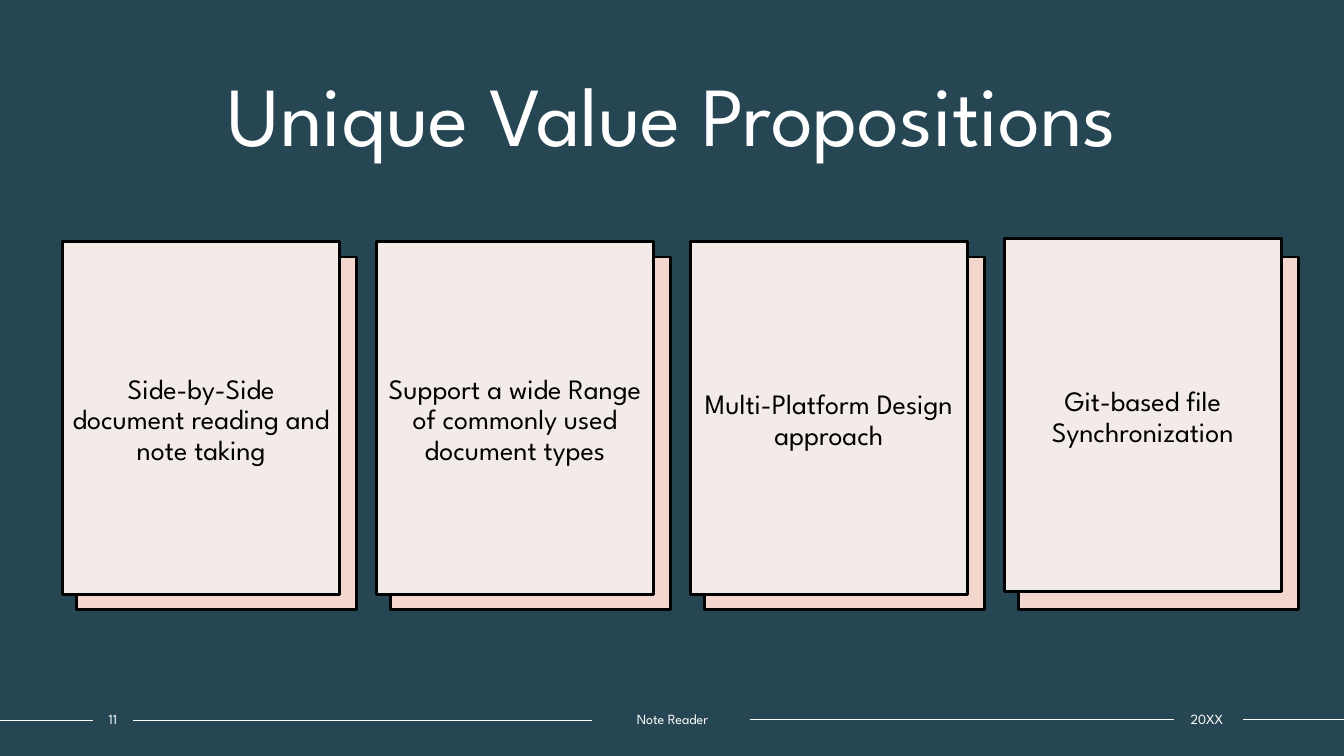
from lxml import etree
from pptx import Presentation
from pptx.dml.color import RGBColor
from pptx.enum.shapes import MSO_CONNECTOR, MSO_SHAPE
from pptx.enum.text import MSO_ANCHOR, PP_ALIGN
from pptx.oxml.ns import qn
from pptx.util import Inches, Pt

RECTANGLE = MSO_SHAPE.RECTANGLE
STRAIGHT = MSO_CONNECTOR.STRAIGHT
CENTER = PP_ALIGN.CENTER
MIDDLE = MSO_ANCHOR.MIDDLE
BOTTOM = MSO_ANCHOR.BOTTOM

COLUMNS, ROWS = 133.3, 75
CELL = 0.1
COLORS = {
    "background": "264653",
    "card": "F3EBE8",
    "backing": "F3D6CD",
    "dark": "000000",
    "light": "FFFFFF",
}


class SlideBuilder:
    """Draws on one slide; all positions are columns and rows of the grid."""

    font_name = "League Spartan"

    def __init__(self, slide):
        self.slide = slide
        background = slide.background.fill
        background.solid()
        background.fore_color.rgb = self.color("background")

    @staticmethod
    def color(name):
        return RGBColor.from_string(COLORS[name])

    @staticmethod
    def cells(*counts):
        return [Inches(count * CELL) for count in counts]

    def set_text(self, frame, words, size, color, insets, anchor=MIDDLE, spacing=1.0):
        """Fill a text frame; insets are left, top, right and bottom in cells."""
        frame.word_wrap = True
        frame.vertical_anchor = anchor
        (frame.margin_left, frame.margin_top,
         frame.margin_right, frame.margin_bottom) = self.cells(*insets)
        paragraph = frame.paragraphs[0]
        paragraph.text = words
        paragraph.alignment = CENTER
        paragraph.line_spacing = spacing
        paragraph.font.name = self.font_name
        paragraph.font.size = Pt(size)
        paragraph.font.color.rgb = self.color(color)

    def panel(self, left, top, width, height, fill):
        panel = self.slide.shapes.add_shape(
            RECTANGLE, *self.cells(left, top, width, height))
        panel.shadow.inherit = False
        panel.fill.solid()
        panel.fill.fore_color.rgb = self.color(fill)
        panel.line.color.rgb = self.color("dark")
        panel.line.width = Pt(2)
        return panel

    def card(self, left, top, width, height, words):
        card = self.panel(left, top, width, height, "card")
        self.set_text(card.text_frame, words, 20, "dark", (1, 1, 1, 0.5), spacing=0.9)

    def label(self, left, top, width, height, words, size, insets, **layout):
        box = self.slide.shapes.add_textbox(*self.cells(left, top, width, height))
        self.set_text(box.text_frame, words, size, "light", insets, **layout)

    def rule(self, start, end, row):
        rule = self.slide.shapes.add_connector(
            STRAIGHT, *self.cells(start, row, end, row))
        rule.line.color.rgb = self.color("light")
        rule.line.width = Pt(1)
        etree.SubElement(rule._element.spPr, qn("a:effectLst"))


def main():
    deck = Presentation()
    deck.slide_width, deck.slide_height = SlideBuilder.cells(COLUMNS, ROWS)
    builder = SlideBuilder(deck.slides.add_slide(deck.slide_layouts[6]))

    builder.label(12.5, 5.6, 108.4, 11.1, "Unique Value Propositions", 60,
                  (1, 0.5, 1, 0.5), anchor=BOTTOM)

    propositions = [
        ("Side-by-Side document reading and note taking", 24),
        ("Support a wide Range of commonly used document types", 24),
        ("Multi-Platform Design approach", 24),
        ("Git-based file Synchronization", 23.7),
    ]
    card_left, card_pitch = 6.2, 31.13
    for index, (proposition, top) in enumerate(propositions):
        left = card_left + index * card_pitch
        builder.panel(left + 1.4, 25.5, 27.8, 35, "backing")
        builder.card(left, top, 27.5, 35, proposition)

    for start, end, row in [(0, 9.2, 71.5), (13.2, 58.7, 71.5),
                            (74.4, 116.4, 71.4), (123.3, COLUMNS, 71.4)]:
        builder.rule(start, end, row)
    for left, width, words in [(9.2, 4, "11"), (58.7, 16, "Note Reader"),
                               (116.2, 7, "20XX")]:
        builder.label(left, 70, width, 2.7, words, 10, (0, 0.5, 0, 0.5))

    deck.save("out.pptx")


if __name__ == "__main__":
    main()
